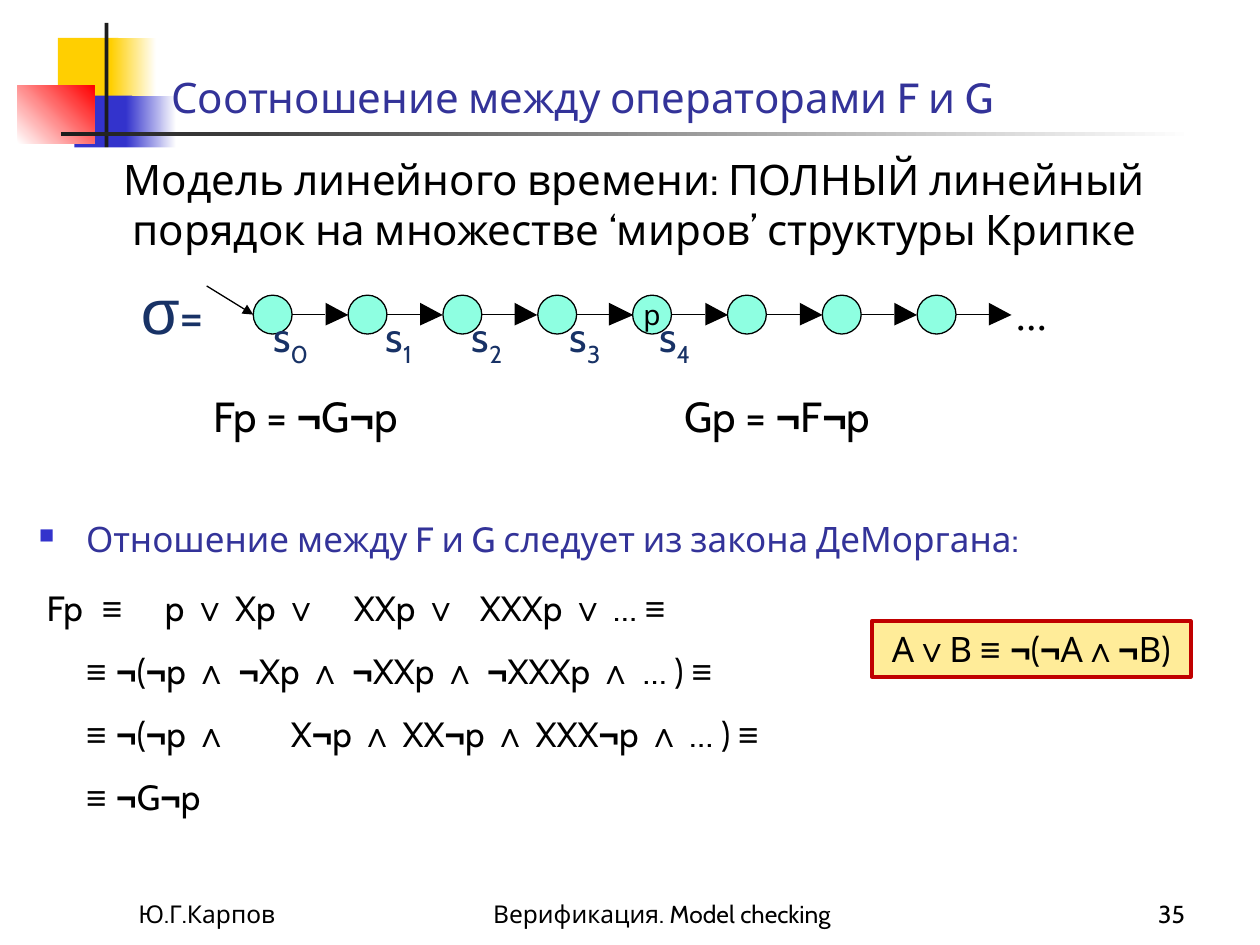
from lxml import etree
from pptx import Presentation
from pptx.dml.color import RGBColor
from pptx.enum.shapes import MSO_CONNECTOR, MSO_SHAPE
from pptx.enum.text import MSO_ANCHOR, PP_ALIGN
from pptx.oxml.ns import qn
from pptx.util import Pt

LEFT, CENTER, RIGHT = PP_ALIGN.LEFT, PP_ALIGN.CENTER, PP_ALIGN.RIGHT
TOP, BOTTOM = MSO_ANCHOR.TOP, MSO_ANCHOR.BOTTOM
RECTANGLE, OVAL = MSO_SHAPE.RECTANGLE, MSO_SHAPE.OVAL
STRAIGHT = MSO_CONNECTOR.STRAIGHT

THEME = {
    "black": "000000", "white": "FFFFFF", "ink": "1C1C1C", "yellow": "FFCF01",
    "blue": "3333CC", "red": "FF0000", "heading": "333399", "navy": "183266",
    "mint": "8EFFE1", "cream": "FFEC99", "border": "C00000",
    "font": "Cabin", "math": "Arial", "serif": "Times New Roman",
    "large": 24, "body": 20, "node": 16, "footer": 14, "sigma": 36, "equals": 28,
}

# Content; in formulas every second part between bars is set in the math font
TITLE = "Соотношение между операторами F и G"
MODEL = ("Модель линейного времени: ПОЛНЫЙ линейный порядок "
         "на множестве ‘миров’ структуры Крипке")
BULLET = "Отношение между F и G следует из закона ДеМоргана:"
# formula, first-line indent, space before, tab stops
DERIVATION = [
    ("Fp\t|≡|\tp |∨| Xp |∨|\tXXp |∨|\tXXXp |∨| … |≡", 4.5, 15, (35, 54, 153, 221)),
    ("|≡ ¬|(|¬|p |∧ ¬|Xp |∧ ¬|XXp |∧ ¬|XXXp |∧ |… ) |≡", 27, 12, ()),
    ("|≡ ¬|(|¬|p |∧|\tX|¬|p |∧| XX|¬|p |∧| XXX|¬|p |∧| … ) |≡", 27, 12, (120,)),
    ("|≡ ¬|G|¬|p", 27, 12, ()),
]
# formula, box
DUALITIES = [
    ("Fp = |¬|G|¬|p", (73.4, 219.6, 202.3, 36)),
    ("Gp = |¬|F|¬|p", (348.5, 219.6, 191.5, 36)),
]
DE_MORGAN = "А|∨|В |≡ ¬|(|¬|А|∧¬|В)"
FOOTERS = [
    ("Ю.Г.Карпов", LEFT, 72, 150),
    ("Верификация. Model checking", CENTER, 264.2, 228.2),
    ("35", RIGHT, 534.2, 150),
]
# box, start colour, end colour, angle
DECORATIONS = [
    ((33.1, 21.6, 34.6, 37.4), "yellow", None, 0),
    ((63.4, 21.6, 25.9, 37.4), "yellow", "white", 0),
    ((42.5, 54.7, 33.1, 37.4), "blue", None, 0),
    ((72, 54.7, 28.8, 37.4), "blue", "white", 0),
    ((10.1, 49, 43.9, 33.1), "white", "red", 45),
    ((59.8, 13, 2.2, 82.8), "ink", None, 0),
    ((34.6, 75.6, 648, 2.2), "ink", "white", 0),
]
# Chain of states
STATE_COUNT, CHAIN_LEFT, CHAIN_Y, PITCH, DIAMETER = 8, 144.7, 179.8, 54.2, 22.2
HEAD_LENGTH, HEAD_HALF = 13, 6.6
STATE_LABEL_LEFTS = [146.2, 208.1, 258.5, 314.6, 365.8]

presentation = Presentation()
presentation.slide_width, presentation.slide_height = Pt(720), Pt(540)
slide = presentation.slides.add_slide(presentation.slide_layouts[6])


def color(name):
    return RGBColor.from_string(THEME[name])


def add_run(paragraph, text, size="large", ink="black", font="font", bold=False):
    run = paragraph.add_run()
    run.text = text
    run.font.size, run.font.name, run.font.bold = Pt(THEME[size]), THEME[font], bold
    run.font.color.rgb = color(ink)
    return run


def add_formula(paragraph, formula, size):
    for index, part in enumerate(formula.split("|")):
        if part:
            is_math = index % 2 == 1
            add_run(paragraph, part, size, font="math" if is_math else "font", bold=is_math)


def prepare_text(shape, align, anchor=TOP):
    frame = shape.text_frame
    frame.word_wrap, frame.vertical_anchor = True, anchor
    paragraph = frame.paragraphs[0]
    paragraph.alignment = align
    return paragraph


def add_text(box, align=LEFT, anchor=TOP):
    return prepare_text(slide.shapes.add_textbox(*map(Pt, box)), align, anchor)


def paint(shape, fill, line=None, width=0.75):
    shape.shadow.inherit = False
    shape.fill.solid()
    shape.fill.fore_color.rgb = color(fill)
    if line:
        shape.line.color.rgb, shape.line.width = color(line), Pt(width)
    else:
        shape.line.fill.background()


def add_shape(kind, box, fill, line=None, width=0.75):
    shape = slide.shapes.add_shape(kind, *map(Pt, box))
    paint(shape, fill, line, width)
    return shape


def add_line(*ends):
    line = slide.shapes.add_connector(STRAIGHT, *map(Pt, ends))
    line.line.color.rgb, line.line.width = color("black"), Pt(0.75)
    etree.SubElement(line._element.spPr, qn("a:effectLst"))
    return line


def add_properties(paragraph, indent, margin=0):
    properties = paragraph._p.get_or_add_pPr()
    properties.set("marL", str(Pt(margin)))
    properties.set("indent", str(Pt(indent)))
    return properties


# Corner decoration and title rule
for box, start, end, angle in DECORATIONS:
    block = add_shape(RECTANGLE, box, start)
    if end:
        block.fill.gradient()
        block.fill.gradient_angle = angle
        for stop, name, position in zip(block.fill.gradient_stops, (start, end), (0, 1)):
            stop.color.rgb, stop.position = color(name), position

# Title, derivation and footers
add_run(add_text((90.7, 15.8, 613.4, 57.6), anchor=BOTTOM), TITLE, ink="heading")

paragraph = add_text((15.1, 292.3, 668.9, 208.1))
properties = add_properties(paragraph, -27, 27)
bullet_color = etree.SubElement(properties, qn("a:buClr"))
etree.SubElement(bullet_color, qn("a:srgbClr"), val=THEME["blue"])
etree.SubElement(properties, qn("a:buSzPct"), val="60000")
etree.SubElement(properties, qn("a:buChar"), char="■")
add_run(paragraph, BULLET, "body", "heading")
frame = slide.shapes[-1].text_frame
for formula, indent, space, stops in DERIVATION:
    paragraph = frame.add_paragraph()
    properties = add_properties(paragraph, indent)
    if stops:
        tabs = etree.SubElement(properties, qn("a:tabLst"))
        for stop in stops:
            etree.SubElement(tabs, qn("a:tab"), pos=str(Pt(stop)), algn="l")
    paragraph.space_before = Pt(space)
    add_formula(paragraph, formula, "body")

for text, align, left, width in FOOTERS:
    add_run(add_text((left, 498.2, width, 36), align, BOTTOM), text, "footer")

# Dualities and model statement
for formula, box in DUALITIES:
    add_formula(add_text(box, CENTER), formula, "large")
statement = add_shape(RECTANGLE, (16.6, 84.2, 691.9, 64.8), "white")
add_run(prepare_text(statement, CENTER), MODEL)

# States with the arrows between them
for index in range(STATE_COUNT):
    left = CHAIN_LEFT + index * PITCH
    tip = left + PITCH
    base = tip - HEAD_LENGTH
    add_shape(OVAL, (left, CHAIN_Y - DIAMETER / 2, DIAMETER, DIAMETER), "mint", "black")
    add_line(left + DIAMETER, CHAIN_Y, base, CHAIN_Y)
    builder = slide.shapes.build_freeform(base, CHAIN_Y + HEAD_HALF, scale=Pt(1))
    builder.add_line_segments([(tip, CHAIN_Y), (base, CHAIN_Y - HEAD_HALF)], close=True)
    paint(builder.convert_to_shape(), "black")

# Entry arrow
entry = add_line(118.1, 163.4, CHAIN_LEFT, CHAIN_Y)
etree.SubElement(entry.line._get_or_add_ln(), qn("a:tailEnd"), type="triangle")

# Chain labels
paragraph = add_text((580.3, 164.9, 18, 28.8), CENTER)
frame = slide.shapes[-1].text_frame
frame.margin_left = frame.margin_right = frame.margin_top = frame.margin_bottom = 0
frame.word_wrap = False
add_run(paragraph, "...", font="serif")

for index, left in enumerate(STATE_LABEL_LEFTS):
    paragraph = add_text((left, 174.2, 39.6, 40.3), CENTER)
    add_run(paragraph, "s", ink="navy")
    subscript = add_run(paragraph, str(index), ink="navy")
    subscript._r.get_or_add_rPr().set("baseline", "-25000")

paragraph = add_text((61.9, 151.9, 73.4, 50.4), CENTER)
add_run(paragraph, "σ", "sigma", "navy", "math")
add_run(paragraph, "=", "equals", "navy")
add_run(add_text((355.7, 166.3, 33.8, 26.6), CENTER), "р", "node")

# De Morgan's law
law = add_shape(RECTANGLE, (498.2, 355, 182.2, 31.7), "cream", "border", 2.25)
add_formula(prepare_text(law, CENTER), DE_MORGAN, "body")

presentation.save("out.pptx")
